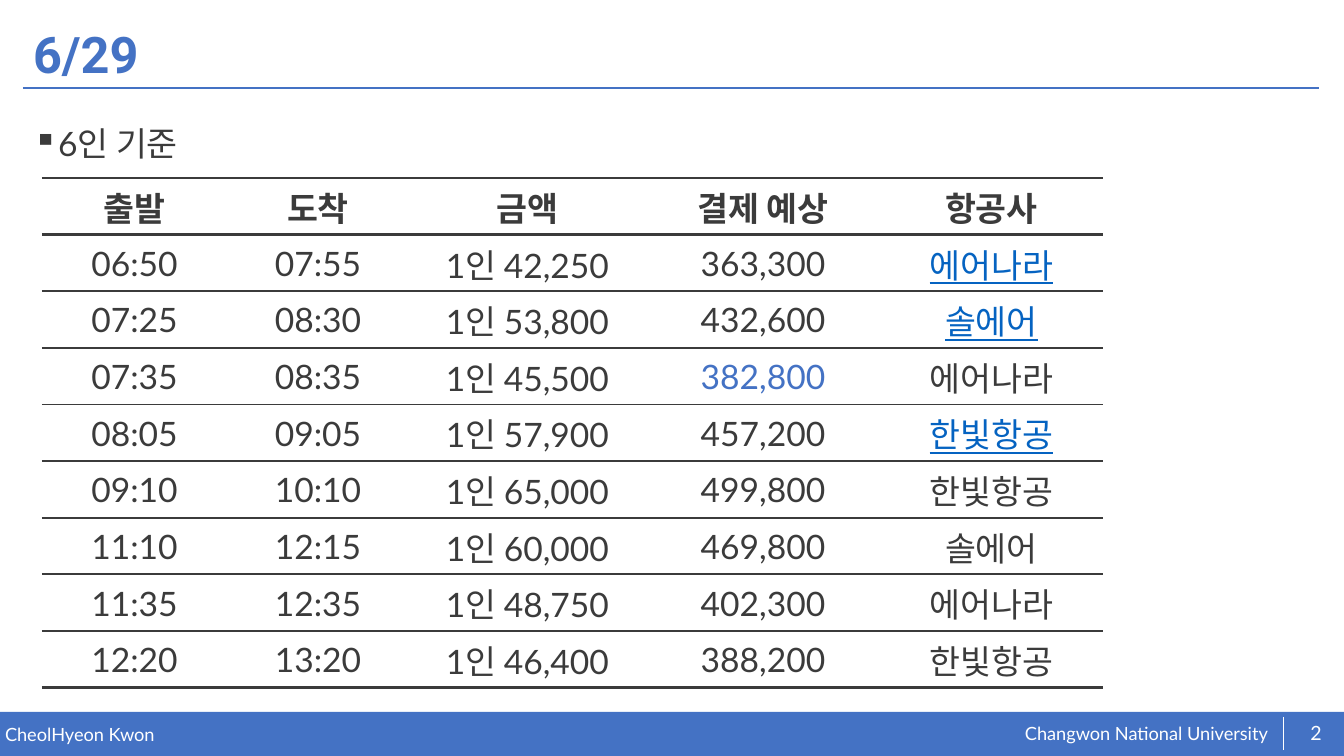
from lxml.etree import SubElement
from pptx import Presentation
from pptx.dml.color import RGBColor
from pptx.enum.shapes import MSO_CONNECTOR, MSO_SHAPE
from pptx.enum.text import MSO_ANCHOR, PP_ALIGN
from pptx.oxml.ns import qn
from pptx.util import Emu, Pt

SCALE = 914400 / 100.8
COLORS = {"blue": "4472C4", "dark": "3B3B3B", "white": "FFFFFF", "link": "0563C1"}
WIDTHS = [185, 182, 237, 234, 223]
HEADS = ["출발", "도착", "금액", "결제 예상", "항공사"]
FLIGHTS = [
    ["06:50", "07:55", "1인 42,250", "363,300", "에어나라"],
    ["07:25", "08:30", "1인 53,800", "432,600", "솔에어"],
    ["07:35", "08:35", "1인 45,500", "382,800", "에어나라"],
    ["08:05", "09:05", "1인 57,900", "457,200", "한빛항공"],
    ["09:10", "10:10", "1인 65,000", "499,800", "한빛항공"],
    ["11:10", "12:15", "1인 60,000", "469,800", "솔에어"],
    ["11:35", "12:35", "1인 48,750", "402,300", "에어나라"],
    ["12:20", "13:20", "1인 46,400", "388,200", "한빛항공"],
]
LINKS = {(1, 4), (2, 4), (4, 4)}
CHOICE = (3, 3)


def px(value):
    return Emu(round(value * SCALE))


def color(name):
    return RGBColor.from_string(COLORS[name])


def style(para, size, tint, face="Lato", bold=False):
    font = para.font
    font.name, font.size, font.bold = face, Pt(size), bold
    font.color.rgb = color(tint)


def add_text(slide, box, text, size, tint, face="Lato", bold=False, inset=(0, 0)):
    frame = slide.shapes.add_textbox(*map(px, box)).text_frame
    frame.word_wrap = True
    frame.margin_left = frame.margin_right = px(inset[0])
    frame.margin_top = frame.margin_bottom = px(inset[1])
    para = frame.paragraphs[0]
    para.text = text
    style(para, size, tint, face, bold)
    return frame


def add_rule(slide, ends, tint, weight):
    rule = slide.shapes.add_connector(MSO_CONNECTOR.STRAIGHT, *map(px, ends))
    rule.line.color.rgb = color(tint)
    rule.line.width = Pt(weight)
    SubElement(rule._element.spPr, qn("a:effectLst"))


def add_footer(slide, box):
    left, top, width, height = box
    bar = slide.shapes.add_shape(MSO_SHAPE.RECTANGLE, *map(px, box))
    bar.shadow.inherit = False
    bar.fill.solid()
    bar.fill.fore_color.rgb = color("blue")
    bar.line.fill.background()
    right = left + width
    add_text(slide, (right - 319, top + 10, 269, 23),
             "Changwon National University", 13, "white")
    add_text(slide, (left + 5, top + 11, 660, 22), "CheolHyeon Kwon", 13, "white")
    add_rule(slide, (right - 61, top + 5, right - 61, top + height - 6), "white", 0.5)
    page = add_text(slide, (right - 52, top + 1, 48, 40), "2", 14, "white")
    page.vertical_anchor = MSO_ANCHOR.MIDDLE
    page.paragraphs[0].alignment = PP_ALIGN.CENTER


def add_title(slide, box):
    left, top, width, height = box
    add_rule(slide, (left, top + 70, left + width, top + 70), "blue", 2)
    frame = add_text(slide, box, "6/29", 36, "blue", "Roboto", True, (10, 5))
    frame.vertical_anchor = MSO_ANCHOR.MIDDLE
    frame.paragraphs[0].line_spacing = 0.9


def add_bullet(slide, box):
    frame = add_text(slide, box, "6인 기준", 24, "dark", inset=(10, 5))
    para = frame.paragraphs[0]
    para.line_spacing = 1.4
    para.space_before = Pt(10)
    props = para._p.get_or_add_pPr()
    props.set("marL", str(px(25)))
    props.set("indent", str(px(-25)))
    mark = props.makeelement(qn("a:buChar"), {"char": "▪"})
    props.insert_element_before(mark, "a:tabLst", "a:defRPr", "a:extLst")


def set_edges(cell, above, below):
    props = cell._tc.get_or_add_tcPr()
    for spot, (side, weight) in enumerate(
            [("lnL", 0), ("lnR", 0), ("lnT", above), ("lnB", below)]):
        edge = props.makeelement(qn(f"a:{side}"), {"w": str(Pt(weight))})
        if weight:
            fill = SubElement(edge, qn("a:solidFill"))
            SubElement(fill, qn("a:srgbClr"), val=COLORS["dark"])
        else:
            SubElement(edge, qn("a:noFill"))
        props.insert(spot, edge)


def add_flights(slide, box):
    rows = [HEADS] + FLIGHTS
    last = len(rows) - 1
    table = slide.shapes.add_table(len(rows), len(HEADS), *map(px, box)).table
    table.horz_banding = False
    table.first_row = False
    for column, width in zip(table.columns, WIDTHS):
        column.width = px(width)
    edges = [2.25, 2.25] + [1.5] * (last - 1) + [2.25]
    for row, texts in enumerate(rows):
        for col, text in enumerate(texts):
            cell = table.cell(row, col)
            cell.margin_left = cell.margin_right = cell.margin_top = px(1)
            cell.margin_bottom = 0
            cell.vertical_anchor = MSO_ANCHOR.MIDDLE
            cell.fill.solid()
            cell.fill.fore_color.rgb = color("white")
            set_edges(cell, edges[row], edges[row + 1])
            para = cell.text_frame.paragraphs[0]
            para.text = text
            para.alignment = PP_ALIGN.CENTER
            linked = (row, col) in LINKS
            tint = "link" if linked else "blue" if (row, col) == CHOICE else "dark"
            style(para, 24, tint, bold=row == 0)
            para.font.underline = linked


def main():
    deck = Presentation()
    deck.slide_width, deck.slide_height = px(1344), px(756)
    slide = deck.slides.add_slide(deck.slide_layouts[6])
    add_footer(slide, (0, 712, 1344, 44))
    add_title(slide, (23, 18, 1296, 78))
    add_bullet(slide, (23, 102, 1296, 568))
    add_flights(slide, (42, 178, sum(WIDTHS), 510))
    deck.save("out.pptx")


if __name__ == "__main__":
    main()
